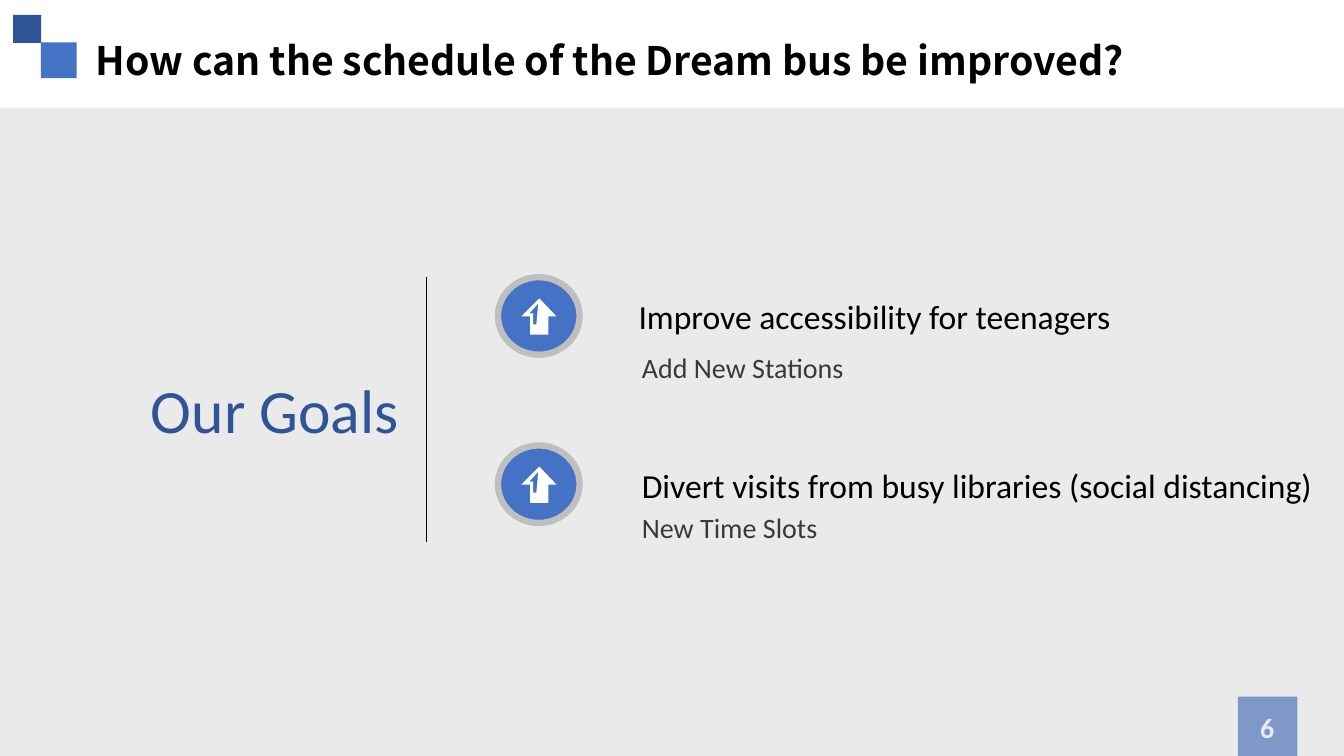
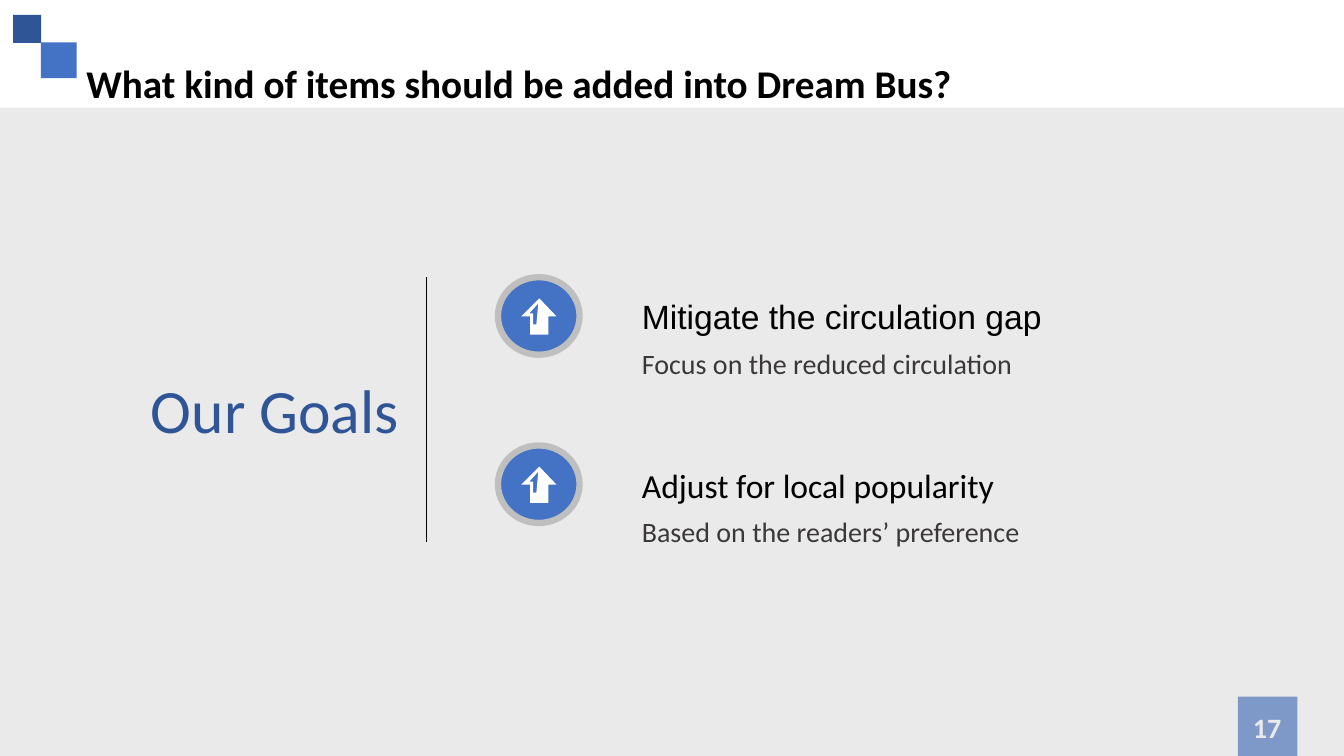
from lxml import etree
from pptx import Presentation
from pptx.dml.color import RGBColor
from pptx.enum.shapes import MSO_CONNECTOR, MSO_SHAPE
from pptx.enum.text import MSO_ANCHOR, PP_ALIGN
from pptx.oxml.ns import qn
from pptx.util import Pt

RECT, OVAL = MSO_SHAPE.RECTANGLE, MSO_SHAPE.OVAL
STRAIGHT = MSO_CONNECTOR.STRAIGHT
LEFT, CENTER = PP_ALIGN.LEFT, PP_ALIGN.CENTER
TOP, MIDDLE = MSO_ANCHOR.TOP, MSO_ANCHOR.MIDDLE

COLORS = {
    "blue": "4472C4",
    "navy": "2F5597",
    "panel": "D0CECE",
    "ring": "BFBFBF",
    "detail": "3B3838",
    "black": "000000",
    "white": "FFFFFF",
}
FONT = "Calibri"
WIDTH, HEIGHT = 960, 540
PANEL_TOP = 77
TEXT_X = 451.4
ICON_X, ICON_W, ICON_H = 355.7, 58.3, 55.4
GOAL_TOP, GOAL_STEP = 198, 120.2
ARROW = [(23, 41), (23, 28), (16.6, 28), (29.5, 15.1), (41.8, 28),
         (36, 28), (36, 41)]
GLINT = [(28.8, 18.7), (22.3, 25.9), (25.2, 25.9), (25.2, 33.8), (27.4, 33.8)]

SLIDES = [
    {
        "title": "How can the schedule of the Dream bus be improved?",
        "title_format": {"x": 61.4, "font": "Noto Sans CJK SC"},
        "number": "6",
        "goals": [
            ("Improve accessibility for teenagers", {"x": 449},
             "Add New Stations", 247),
            ("Divert visits from busy libraries (social distancing)", {},
             "New Time Slots", 361.4),
        ],
    },
    {
        "title": "What kind of items should be added into Dream Bus?",
        "title_format": {"x": 54.7, "spacing": 1.5},
        "number": "17",
        "goals": [
            ("Mitigate the circulation gap", {"font": "Arial"},
             "Focus on the reduced circulation", 244.1),
            ("Adjust for local popularity", {},
             "Based on the readers’ preference", 363.9),
        ],
    },
]


def rgb(name):
    return RGBColor.from_string(COLORS[name])


def add_text(s, text, x, y, w, h, size=24, color="black", font=FONT,
             bold=False, align=LEFT, anchor=TOP, spacing=None):
    tf = s.shapes.add_textbox(Pt(x), Pt(y), Pt(w), Pt(h)).text_frame
    tf.word_wrap = True
    tf.vertical_anchor = anchor
    p = tf.paragraphs[0]
    p.alignment = align
    p.line_spacing = spacing
    r = p.add_run()
    r.text = text
    r.font.name = font
    r.font.size = Pt(size)
    r.font.bold = bold
    r.font.color.rgb = rgb(color)


def paint(sp, fill, line=None, width=0, alpha=None):
    sp.shadow.inherit = False
    sp.fill.solid()
    sp.fill.fore_color.rgb = rgb(fill)
    if alpha is not None:
        clr = sp._element.spPr.find(qn("a:solidFill"))[0]
        etree.SubElement(clr, qn("a:alpha")).set("val", str(alpha * 1000))
    if line:
        sp.line.color.rgb = rgb(line)
        sp.line.width = Pt(width)
    else:
        sp.line.fill.background()


def add_shape(shapes, kind, x, y, w, h, fill, **style):
    sp = shapes.add_shape(kind, Pt(x), Pt(y), Pt(w), Pt(h))
    paint(sp, fill, **style)


def add_divider(s, x, top, bottom):
    sp = s.shapes.add_connector(STRAIGHT, Pt(x), Pt(top), Pt(x), Pt(bottom))
    sp.line.color.rgb = rgb("black")
    sp.line.width = Pt(0.5)
    etree.SubElement(sp._element.spPr, qn("a:effectLst"))


def add_icon(s, x, y):
    shapes = s.shapes.add_group_shape().shapes
    add_shape(shapes, OVAL, x, y, ICON_W, ICON_H, "blue",
              line="ring", width=4.5)
    arrow, glint = ([(Pt(x + dx), Pt(y + dy)) for dx, dy in outline]
                    for outline in (ARROW, GLINT))
    builder = shapes.build_freeform(*arrow[0])
    builder.add_line_segments(arrow[1:])
    builder.move_to(*glint[0])
    builder.add_line_segments(glint[1:])
    paint(builder.convert_to_shape(), "white")


def add_frame(s, title, title_format, number):
    add_shape(s.shapes, RECT, 29.3, 30.3, 25.5, 25.5, "blue")
    add_shape(s.shapes, RECT, 9.4, 10.6, 20, 20, "navy")
    add_shape(s.shapes, RECT, 884.2, 497.5, 42.5, 42.5, "blue")
    add_text(s, title, y=22.3, w=814, h=41, size=28, bold=True,
             **title_format)
    add_text(s, number, 850.4, 505, 109.4, 29, size=20, color="white",
             bold=True, align=CENTER, anchor=MIDDLE)
    add_shape(s.shapes, RECT, 0, PANEL_TOP, WIDTH, HEIGHT - PANEL_TOP,
              "panel", alpha=42)


def add_goals(s, goals):
    add_text(s, "Our Goals", 100.8, 262.1, 203.8, 60.5, size=44, color="navy")
    add_divider(s, 304.6, 198, 387.4)
    for i, (goal, goal_format, detail, detail_y) in enumerate(goals):
        y = GOAL_TOP + i * GOAL_STEP
        add_icon(s, ICON_X, y)
        add_text(s, goal, **{"x": TEXT_X, "y": y + 10, "w": 508, "h": 36,
                             **goal_format})
        add_text(s, detail, TEXT_X, detail_y, 342, 31.5, size=20,
                 color="detail")


def main():
    prs = Presentation()
    prs.slide_width, prs.slide_height = Pt(WIDTH), Pt(HEIGHT)
    for content in SLIDES:
        s = prs.slides.add_slide(prs.slide_layouts[6])
        add_frame(s, content["title"], content["title_format"],
                  content["number"])
        add_goals(s, content["goals"])
    prs.save("out.pptx")


if __name__ == "__main__":
    main()
